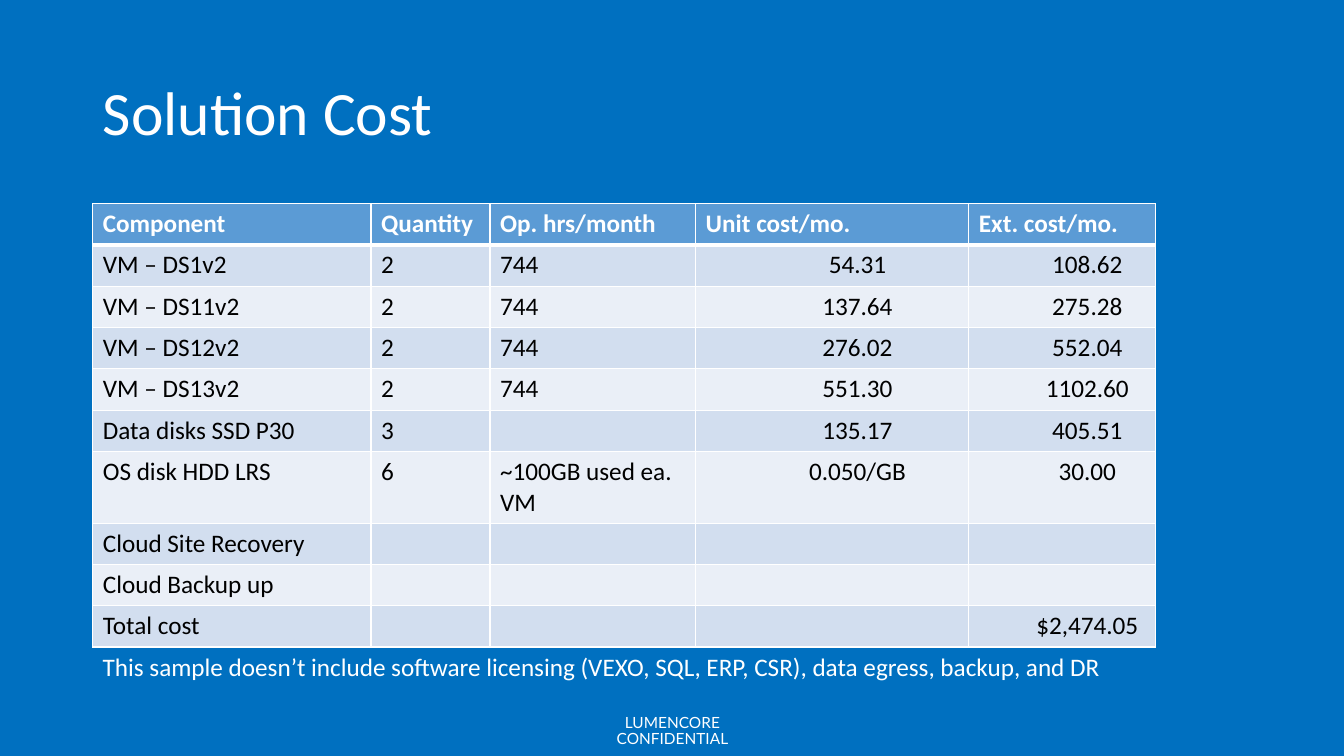
"""Build the solution cost slide."""
from lxml import etree
from pptx import Presentation
from pptx.dml.color import RGBColor
from pptx.enum.text import MSO_ANCHOR, PP_ALIGN
from pptx.oxml.ns import qn
from pptx.util import Inches, Pt

LEFT, CENTER = PP_ALIGN.LEFT, PP_ALIGN.CENTER
MIDDLE = MSO_ANCHOR.MIDDLE
BLUE, WHITE, BLACK = "0070C0", "FFFFFF", "000000"
HEAD, BANDS = "5B9BD5", ("EAEFF7", "D2DEEF")

TITLE = "Solution Cost"
NOTE = ("This sample doesn’t include software licensing "
        "(VEXO, SQL, ERP, CSR), data egress, backup, and DR")
FOOT = "LUMENCORE CONFIDENTIAL"
ROWS = [
    ("Component", "Quantity", "Op. hrs/month", "Unit cost/mo.", "Ext. cost/mo."),
    ("VM – DS1v2", "2", "744", "54.31", "108.62"),
    ("VM – DS11v2", "2", "744", "137.64", "275.28"),
    ("VM – DS12v2", "2", "744", "276.02", "552.04"),
    ("VM – DS13v2", "2", "744", "551.30", "1102.60"),
    ("Data disks SSD P30", "3", "", "135.17", "405.51"),
    ("OS disk HDD LRS", "6", "~100GB used ea. VM", "0.050/GB", "30.00"),
    ("Cloud Site Recovery", "", "", "", ""),
    ("Cloud Backup up", "", "", "", ""),
    ("Total cost", "", "", "", "$2,474.05"),
]
WIDTHS = (2.76, 1.18, 2.04, 2.71, 1.85)
ROW, TALL, TALL_ROW = 0.41, 0.7, 6
MONEY = 3


def color(code):
    return RGBColor.from_string(code)


def box(*dims):
    return [Inches(n) for n in dims]


def write(frame, text, size, code=WHITE, face="Calibri", bold=False, align=LEFT):
    para = frame.paragraphs[0]
    para.alignment = align
    para.font.size = Pt(size)
    if text:
        run = para.add_run()
        run.text = text
        run.font.color.rgb = color(code)
        for key, val in {"name": face, "size": Pt(size), "bold": bold}.items():
            setattr(run.font, key, val)
    return para


def edge(cell, side, width):
    line = etree.SubElement(cell._tc.get_or_add_tcPr(), qn("a:ln" + side),
                            w=str(Pt(width)))
    fill = etree.SubElement(line, qn("a:solidFill"))
    etree.SubElement(fill, qn("a:srgbClr"), val=WHITE)


def fill_cell(cell, text, row, col):
    head = row == 0
    money = col >= MONEY and not head
    para = write(cell.text_frame, text, 18, WHITE if head else BLACK,
                 bold=head, align=CENTER if money else LEFT)
    if money:
        para.level = 1
        para._p.get_or_add_pPr().set("marL", str(Inches(0.5)))
    for side in "LRTB":
        thick = (row, side) in ((0, "B"), (1, "T"))
        edge(cell, side, 3 if thick else 1)
    cell.fill.solid()
    cell.fill.fore_color.rgb = color(HEAD if head else BANDS[row % 2])


def add_costs(slide):
    total = ROW * (len(ROWS) - 1) + TALL
    table = slide.shapes.add_table(
        len(ROWS), len(WIDTHS), *box(0.92, 2.02, sum(WIDTHS), total)).table
    for col, width in zip(table.columns, WIDTHS):
        col.width = Inches(width)
    for r, texts in enumerate(ROWS):
        table.rows[r].height = Inches(TALL if r == TALL_ROW else ROW)
        for c, text in enumerate(texts):
            fill_cell(table.cell(r, c), text, r, c)


def main():
    deck = Presentation()
    deck.slide_width, deck.slide_height = box(13.33, 7.5)
    slide = deck.slides.add_slide(deck.slide_layouts[5])
    slide.background.fill.solid()
    slide.background.fill.fore_color.rgb = color(BLUE)

    title = slide.shapes.title
    title.left, title.top, title.width, title.height = box(0.92, 0.42, 11.5, 1.45)
    title.text_frame.vertical_anchor = MIDDLE
    write(title.text_frame, TITLE, 44).line_spacing = 0.9

    add_costs(slide)

    note = slide.shapes.add_textbox(*box(0.92, 6.41, 10.14, 0.4)).text_frame
    note.word_wrap = False
    write(note, NOTE, 18)

    foot = slide.shapes.add_textbox(*box(5.51, 7.01, 2.32, 0.49)).text_frame
    form = {"word_wrap": True, "vertical_anchor": MIDDLE,
            "margin_left": Inches(0.4), "margin_right": Inches(0.4),
            "margin_top": 0, "margin_bottom": 0}
    for key, val in form.items():
        setattr(foot, key, val)
    write(foot, FOOT, 11, face="Lato", align=CENTER).line_spacing = 0.9
    deck.save("out.pptx")


if __name__ == "__main__":
    main()
